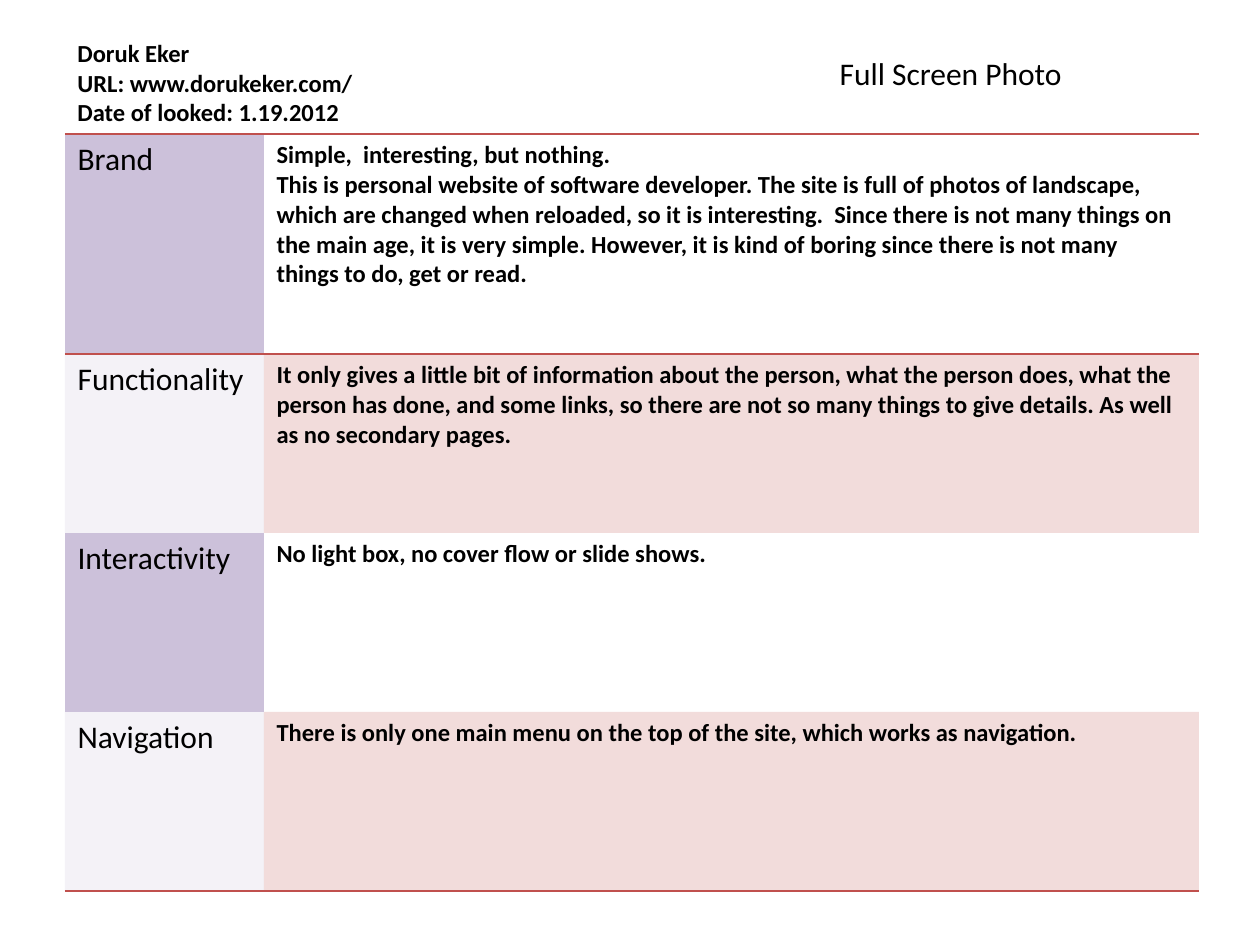
from pptx import Presentation
from pptx.dml.color import RGBColor
from pptx.enum.text import MSO_ANCHOR, MSO_AUTO_SIZE, PP_ALIGN
from pptx.oxml.ns import qn
from pptx.util import Emu, Inches, Pt
from lxml.etree import SubElement

PX_PER_INCH = 126
FONT = "Calibri"
BLACK = RGBColor(0x00, 0x00, 0x00)
LILAC = RGBColor(0xCC, 0xC1, 0xDA)
BRICK = RGBColor(0xC0, 0x50, 0x4D)
NO_STYLE = "{2D5ABB26-0587-4C30-8999-92F81FD0307C}"
TINT = 20  # opacity, percent

SITE_FACTS = ["Doruk Eker", "URL: www.dorukeker.com/", "Date of looked: 1.19.2012"]
REVIEW = [
    ("Brand", [
        "Simple,  interesting, but nothing.",
        "This is personal website of software developer. The site is full of photos of "
        "landscape, which are changed when reloaded, so it is interesting.  Since there is "
        "not many things on the main age, it is very simple. However, it is kind of boring "
        "since there is not many things to do, get or read."]),
    ("Functionality", [
        "It only gives a little bit of information about the person, what the person does, "
        "what the person has done, and some links, so there are not so many things to give "
        "details. As well as no secondary pages."]),
    ("Interactivity", ["No light box, no cover flow or slide shows."]),
    ("Navigation", [
        "There is only one main menu on the top of the site, which works as navigation."]),
]


def px(length):
    return Emu(round(length * Inches(1) / PX_PER_INCH))


def write(frame, lines, size, bold=False):
    for index, line in enumerate(lines):
        paragraph = frame.paragraphs[0] if index == 0 else frame.add_paragraph()
        paragraph.alignment = PP_ALIGN.LEFT
        run = paragraph.add_run()
        run.text = line
        run.font.name = FONT
        run.font.size = Pt(size)
        run.font.bold = bold
        run.font.color.rgb = BLACK


def fill_cell(cell, color, opacity=100):
    if color is None:
        cell.fill.background()
        return
    cell.fill.solid()
    cell.fill.fore_color.rgb = color
    if opacity < 100:
        rgb = cell._tc.tcPr.find(qn("a:solidFill"))[0]
        SubElement(rgb, qn("a:alpha")).set("val", str(opacity * 1000))


def rule_cell(cell, sides):
    """Draw 1 pt rules; borders must come before the fill in the cell properties."""
    properties = cell._tc.get_or_add_tcPr()
    for position, side in enumerate(sides):
        line = SubElement(properties, qn(f"a:ln{side}"), w=str(Pt(1)))
        solid = SubElement(line, qn("a:solidFill"))
        SubElement(solid, qn("a:srgbClr"), val=str(BRICK))
        properties.insert(position, line)


def add_title(slide, left, top, width, height):
    title = slide.shapes.title
    title.left, title.top, title.width, title.height = map(px, (left, top, width, height))
    frame = title.text_frame
    frame.auto_size = MSO_AUTO_SIZE.NONE
    frame.vertical_anchor = MSO_ANCHOR.TOP
    write(frame, ["Full Screen Photo"], 18)


def add_site_facts(slide, left, top, width, height):
    facts = slide.shapes.add_textbox(*map(px, (left, top, width, height)))
    facts.text_frame.word_wrap = True
    write(facts.text_frame, SITE_FACTS, 14, bold=True)


def add_review(slide, left, top, width, height):
    label_width, row_height = 199, 179
    frame = slide.shapes.add_table(len(REVIEW), 2, *map(px, (left, top, width, height)))
    table = frame.table
    table._tbl.tblPr.find(qn("a:tableStyleId")).text = NO_STYLE
    table.first_row = table.horz_banding = False
    table.columns[0].width = px(label_width)
    table.columns[1].width = px(width - label_width)

    # The first row takes the height the equal rows leave over
    first_height = height - row_height * (len(REVIEW) - 1)
    for index, (criterion, remarks) in enumerate(REVIEW):
        table.rows[index].height = px(row_height if index else first_height)
        label, remark = table.cell(index, 0), table.cell(index, 1)
        write(label.text_frame, [criterion], 18)
        write(remark.text_frame, remarks, 14, bold=True)

        # Every second row is tinted
        tinted = index % 2 == 1
        fill_cell(label, LILAC, TINT if tinted else 100)
        fill_cell(remark, BRICK if tinted else None, TINT)

        # Rules around the first row and below the last
        sides = {0: "TB", len(REVIEW) - 1: "B"}.get(index, "")
        for cell in (label, remark):
            rule_cell(cell, sides)


def main():
    presentation = Presentation()
    presentation.slide_width, presentation.slide_height = Inches(10), Inches(7.5)
    slide = presentation.slides.add_slide(presentation.slide_layouts[5])
    add_review(slide, 65, 134, 1134, 757)
    add_site_facts(slide, 65, 32, 582, 102)
    add_title(slide, 827, 48, 370, 50)
    presentation.save("out.pptx")


if __name__ == "__main__":
    main()
